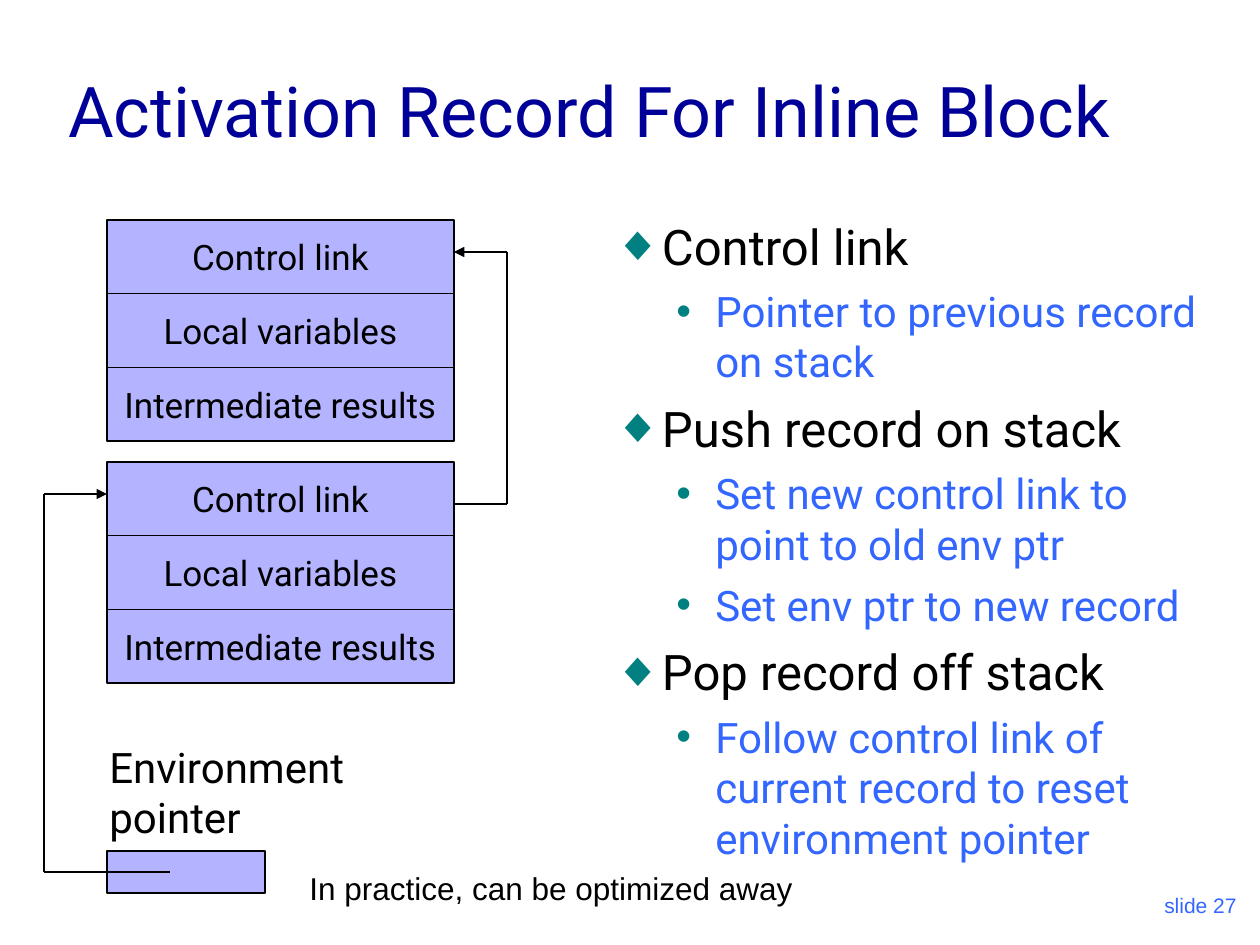
import pptx
import pptx.util
import pptx.dml.color
import pptx.enum.shapes
import pptx.enum.text
import pptx.oxml.ns
import lxml.etree

PX = 914400 / 126
COLORS = {"title": "000099", "text": "000000", "detail": "3366FF",
          "bullet": "008080", "cell": "B3B3FF", "line": "000000"}
ALIGN = pptx.enum.text.PP_ALIGN
ANCHOR = pptx.enum.text.MSO_ANCHOR
RECT = pptx.enum.shapes.MSO_SHAPE.RECTANGLE
STRAIGHT = pptx.enum.shapes.MSO_CONNECTOR.STRAIGHT
FIELDS = ["Control link", "Local variables", "Intermediate results"]
LEVELS = [{"size": 28, "color": "text", "before": 7, "left": 48, "hang": 48, "mark": "◆"},
          {"size": 24, "color": "detail", "before": 6, "left": 102, "hang": 39, "mark": "•"}]
POINTS = [(0, "Control link"),
          (1, "Pointer to previous record on stack"),
          (0, "Push record on stack"),
          (1, "Set new control link to point to old env ptr"),
          (1, "Set env ptr to new record"),
          (0, "Pop record off stack"),
          (1, "Follow control link of current record to reset environment pointer")]


def px(*values):
    return [pptx.util.Emu(round(v * PX)) for v in values]


def rgb(name):
    return pptx.dml.color.RGBColor.from_string(COLORS[name])


def sub(parent, tag, **attrs):
    return lxml.etree.SubElement(parent, pptx.oxml.ns.qn(tag), **attrs)


def add_run(p, text, size, color, font="Roboto"):
    r = p.add_run()
    r.text = text
    r.font.size = pptx.util.Pt(size)
    r.font.name = font
    r.font.color.rgb = rgb(color)


def text_frame(s, box, anchor=ANCHOR.TOP, wrap=True):
    tf = s.shapes.add_textbox(*px(*box)).text_frame
    tf.word_wrap = wrap
    tf.vertical_anchor = anchor
    return tf


def label(s, box, text, size, color, font="Roboto", align=ALIGN.LEFT,
          anchor=ANCHOR.TOP, wrap=True):
    p = text_frame(s, box, anchor, wrap).paragraphs[0]
    p.alignment = align
    add_run(p, text, size, color, font)


def cell(shapes, box, text=None):
    sp = shapes.add_shape(RECT, *px(*box))
    sp.shadow.inherit = False
    sp.fill.solid()
    sp.fill.fore_color.rgb = rgb("cell")
    sp.line.color.rgb = rgb("line")
    sp.line.width = pptx.util.Pt(0.75)
    if text:
        tf = sp.text_frame
        tf.word_wrap = False
        tf.vertical_anchor = ANCHOR.MIDDLE
        p = tf.paragraphs[0]
        p.alignment = ALIGN.CENTER
        add_run(p, text, 20, "text")


def record(s, box):
    x, y, w, h = box
    group = s.shapes.add_group_shape()
    row = h / len(FIELDS)
    for i, field in enumerate(FIELDS):
        cell(group.shapes, (x, y + i * row, w, row), field)


def pointer(s, points):
    for i, (start, end) in enumerate(zip(points, points[1:])):
        c = s.shapes.add_connector(STRAIGHT, *px(*start, *end))
        c.line.color.rgb = rgb("line")
        c.line.width = pptx.util.Pt(1.5)
        if i == len(points) - 2:
            sub(c.line._get_or_add_ln(), "a:tailEnd", type="triangle")
        sub(c._element.spPr, "a:effectLst")


def control_link(s, box):
    x, y, w, h = box
    pointer(s, [(x, y + h), (x + w, y + h), (x + w, y), (x, y)])


def environment(s, box):
    x, y, w, h = box
    label(s, (x + 53, y + h - 137, 262, 113), "Environment pointer", 24, "text")
    cell(s.shapes, (x + 63, y + h - 21, 158, 42))
    pointer(s, [(x + w, y + h), (x, y + h), (x, y), (x + 63, y)])


def outline(s, box):
    tf = text_frame(s, box)
    for i, (depth, text) in enumerate(POINTS):
        level = LEVELS[depth]
        p = tf.add_paragraph() if i else tf.paragraphs[0]
        p.level = depth
        if i:
            p.space_before = pptx.util.Pt(level["before"])
        left, hang = px(level["left"], level["hang"])
        pPr = p._p.get_or_add_pPr()
        pPr.set("marL", str(left))
        pPr.set("indent", str(-hang))
        sub(sub(pPr, "a:buClr"), "a:srgbClr", val=COLORS["bullet"])
        sub(pPr, "a:buFont", typeface="Arial")
        sub(pPr, "a:buChar", char=level["mark"])
        add_run(p, text, level["size"], level["color"])


def main():
    prs = pptx.Presentation()
    prs.slide_width, prs.slide_height = px(1260, 945)
    s = prs.slides.add_slide(prs.slide_layouts[6])
    label(s, (1260 - 273, 861, 262, 63), "slide 27", 12, "detail", "Arial",
          ALIGN.RIGHT, ANCHOR.BOTTOM)
    label(s, (56, 32, 1152, 126), "Activation Record For Inline Block", 40, "title",
          anchor=ANCHOR.BOTTOM)
    outline(s, (601, 210, 630, 662))
    for top in (220, 462):
        record(s, (107, top, 347, 221))
    environment(s, (44, 494, 126, 378))
    control_link(s, (454, 252, 53, 252))
    label(s, (297, 863, 508, 50), "In practice, can be optimized away", 18, "text",
          "Arial", wrap=False)
    prs.save("out.pptx")


if __name__ == "__main__":
    main()
